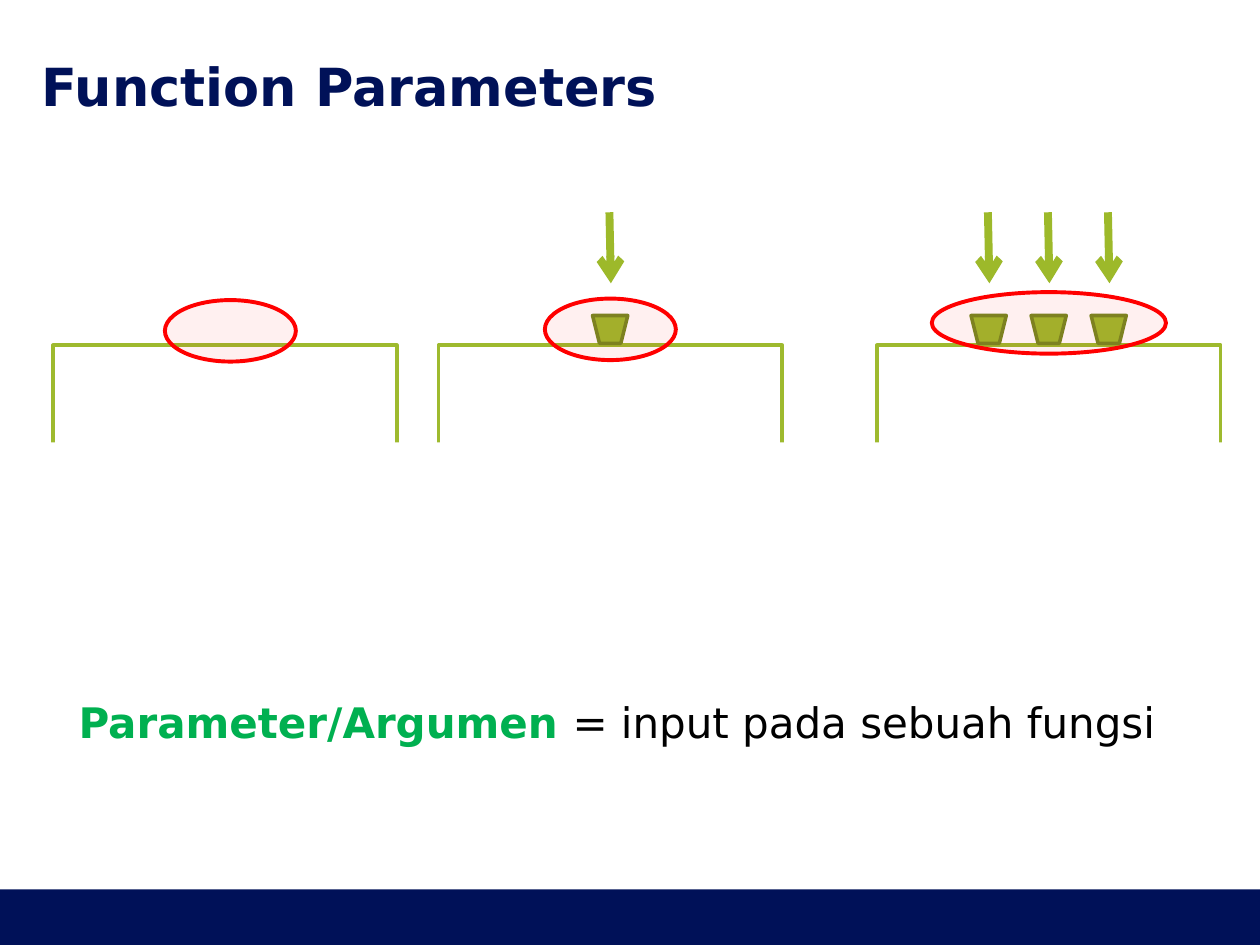
import pptx
import pptx.util
import pptx.dml.color
import pptx.enum.shapes
import pptx.enum.text
import pptx.oxml
import pptx.oxml.ns
from lxml import etree

Cm = pptx.util.Cm
Pt = pptx.util.Pt
RGBColor = pptx.dml.color.RGBColor
SHAPE = pptx.enum.shapes.MSO_SHAPE
qn = pptx.oxml.ns.qn

NAVY = RGBColor(0x00, 0x11, 0x58)
WHITE = RGBColor(0xFF, 0xFF, 0xFF)
BLACK = RGBColor(0x00, 0x00, 0x00)
LIME = RGBColor(0x9E, 0xBA, 0x2E)
ARROW_LIME = RGBColor(0x9D, 0xB9, 0x2A)
OLIVE = RGBColor(0x75, 0x8A, 0x22)
RED = RGBColor(0xFF, 0x00, 0x00)
GREEN = RGBColor(0x00, 0xB0, 0x50)
FONT = "DejaVu Sans"

BOX_W, BOX_H, BOX_TOP = 6.93, 3.91, 6.96
INPUT_STEP = 1.21


def add_shape(slide, kind, left, top, width, height, fill, line=None, weight=2):
    """Add a flat preset shape, measured in centimetres."""
    sp = slide.shapes.add_shape(kind, Cm(left), Cm(top), Cm(width), Cm(height))
    sp.shadow.inherit = False
    sp.fill.solid()
    sp.fill.fore_color.rgb = fill
    if line is None:
        sp.line.fill.background()
    else:
        sp.line.color.rgb = line
        sp.line.width = Pt(weight)
    return sp


def add_text(slide, left, top, width, height, runs, size, align, margin=0.0):
    """Add one paragraph made of (text, colour, bold) runs."""
    sp = slide.shapes.add_textbox(Cm(left), Cm(top), Cm(width), Cm(height))
    tf = sp.text_frame
    tf.word_wrap = True
    tf.vertical_anchor = pptx.enum.text.MSO_ANCHOR.MIDDLE
    tf.margin_left = tf.margin_right = Cm(2 * margin)
    tf.margin_top = tf.margin_bottom = Cm(margin)
    p = tf.paragraphs[0]
    p.alignment = align
    for text, color, bold in runs:
        r = p.add_run()
        r.text = text
        r.font.name = FONT
        r.font.size = Pt(size)
        r.font.bold = bold
        r.font.color.rgb = color


def add_arrow(slide, x, top, bottom):
    """Add a thick input arrow pointing down, leaning slightly right."""
    cn = slide.shapes.add_connector(
        pptx.enum.shapes.MSO_CONNECTOR.STRAIGHT,
        Cm(x), Cm(top), Cm(x + 0.03), Cm(bottom))
    cn.line.color.rgb = ARROW_LIME
    cn.line.width = Pt(4.5)
    etree.SubElement(cn.line._get_or_add_ln(), qn("a:tailEnd"), type="arrow")
    etree.SubElement(cn._element.spPr, qn("a:effectLst"))


def input_centres(left, count):
    """Return the centres of the inputs, spread evenly about the box middle."""
    middle = left + BOX_W / 2
    return [middle + (i - (count - 1) / 2) * INPUT_STEP for i in range(count)]


def add_function_box(slide, left, top, count):
    """Draw a function box with one funnel for each input."""
    add_shape(slide, SHAPE.RECTANGLE, left, top, BOX_W, BOX_H, WHITE, LIME)
    for x in input_centres(left, count):
        sp = add_shape(slide, SHAPE.TRAPEZOID, x - 0.36, top - 0.6, 0.71, 0.56,
                       LIME, OLIVE)
        sp.rotation = 180


def add_input_marks(slide, left, top, count, ring_width, ring_rise, ring_shift):
    """Ring the inputs of a function box and point an arrow at each."""
    ring_left = left + (BOX_W - ring_width) / 2 + ring_shift
    sp = add_shape(slide, SHAPE.OVAL, ring_left, top - ring_rise,
                   ring_width, 1.24, RED, RED, 2.25)
    color = sp.fill._xPr.find(qn("a:solidFill"))[0]
    etree.SubElement(color, qn("a:alpha"), val="6000")
    for x in input_centres(left, count):
        add_arrow(slide, x - 0.02, top - 2.68, top - 1.25)


def add_functions(slide, top):
    """Draw the functions with no, one and three inputs."""
    functions = [(1.07, 0, 2.64, 0.91, 0.11),
                 (8.84, 1, 2.64, 0.94, 0),
                 (17.68, 3, 4.72, 1.07, 0)]
    for left, count, *_ in functions:
        add_function_box(slide, left, top, count)
    add_shape(slide, SHAPE.RECTANGLE, 0, top + 1.96, 25.4, 5, WHITE)
    for left, count, *ring in functions:
        add_input_marks(slide, left, top, count, *ring)


def build():
    """Build and save the slide."""
    prs = pptx.Presentation()
    prs.slide_width, prs.slide_height = Cm(25.4), Cm(19.05)
    slide = prs.slides.add_slide(prs.slide_layouts[6])
    align = pptx.enum.text.PP_ALIGN
    add_shape(slide, SHAPE.RECTANGLE, 0, 17.93, 25.4, 1.12, NAVY)
    add_text(slide, 0.84, 1.12, 23.72, 1.19,
             [("Function Parameters", NAVY, True)], 30, align.LEFT)
    add_functions(slide, BOX_TOP)
    add_text(slide, 0.3, 13.92, 24.28, 1.27,
             [("Parameter/Argumen ", GREEN, True),
              ("= input pada sebuah fungsi", BLACK, False)],
             24, align.CENTER, 0.13)
    prs.save("out.pptx")


build()
